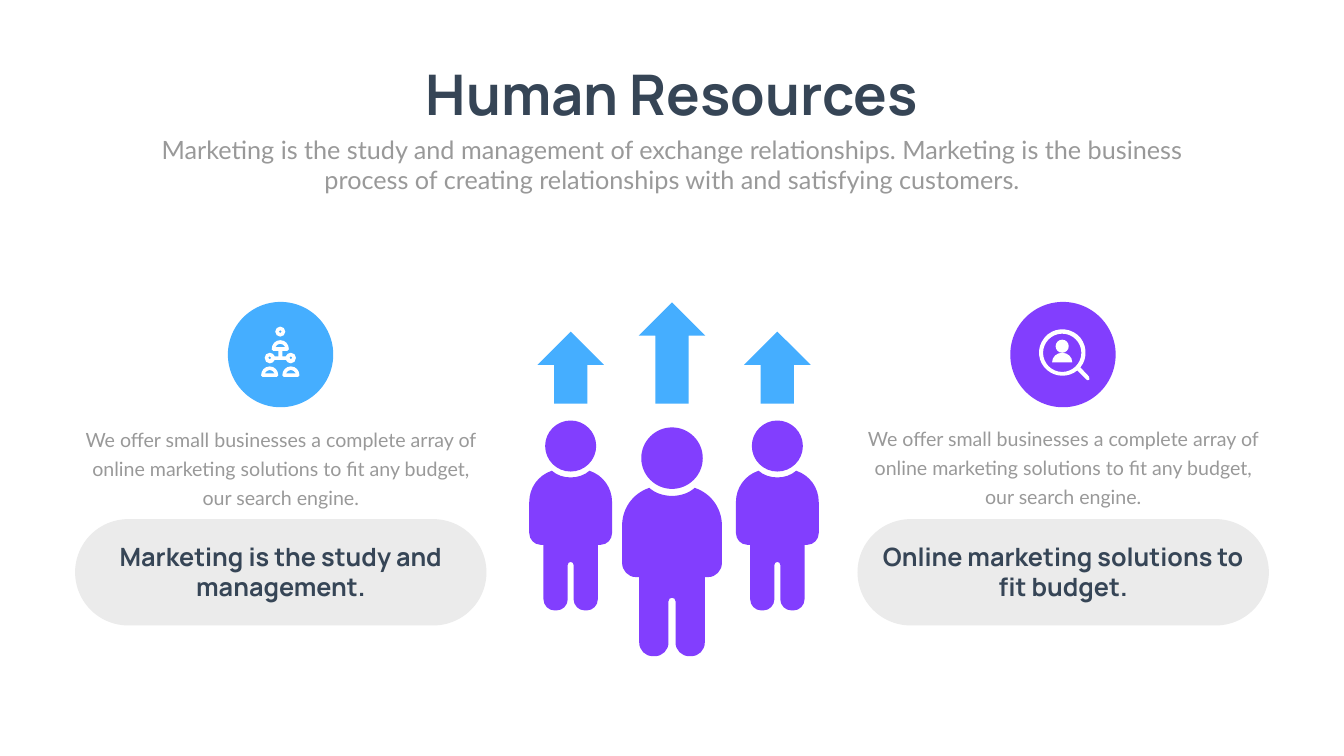
from dataclasses import dataclass

from lxml import etree
from pptx import Presentation
from pptx.dml.color import RGBColor
from pptx.enum.shapes import MSO_SHAPE
from pptx.enum.text import MSO_AUTO_SIZE, PP_ALIGN
from pptx.oxml.ns import qn
from pptx.shapes.base import BaseShape
from pptx.shapes.shapetree import GroupShapes, SlideShapes
from pptx.util import Inches, Pt

CENTER = PP_ALIGN.CENTER
FIT = MSO_AUTO_SIZE.SHAPE_TO_FIT_TEXT
OVAL = MSO_SHAPE.OVAL
PILL = MSO_SHAPE.ROUNDED_RECTANGLE
ARROW = MSO_SHAPE.UP_ARROW

Edge = tuple[float, ...]
Loop = list[Edge]
Tree = SlideShapes | GroupShapes


@dataclass(frozen=True)
class Theme:
    dark: str = "364556"
    gray: str = "999999"
    pale: str = "EBEBEB"
    blue: str = "45AEFF"
    violet: str = "823EFE"
    white: str = "FFFFFF"
    head: str = "Manrope"
    body: str = "Lato"
    title: int = 80
    large: int = 36
    small: int = 28
    lead: float = 40.8


@dataclass(frozen=True)
class Person:
    axis: float
    head: float
    top: float
    scale: float
    arrow: float


@dataclass(frozen=True)
class Panel:
    left: float
    top: float
    color: str
    label: str


def fold(half: Loop) -> Loop:
    ends = [edge[-2:] for edge in half]
    back: Loop = []
    for i in range(len(half) - 1, 0, -1):
        x, y = ends[i - 1]
        edge = half[i]
        if len(edge) == 6:
            back.append((-edge[2], edge[3], -edge[0], edge[1], -x, y))
        else:
            back.append((-x, y))
    return half + back


def disc(x: float, y: float, r: float) -> Loop:
    k = r * 0.55
    return [(x, y - r), (x + k, y - r, x + r, y - k, x + r, y),
            (x + r, y + k, x + k, y + r, x, y + r),
            (x - k, y + r, x - r, y + k, x - r, y),
            (x - r, y - k, x - k, y - r, x, y - r)]


THEME = Theme()
BLURB = ("We offer small businesses a complete array of online marketing "
         "solutions to fit any budget, our search engine.")
PEOPLE = (
    Person(13.33, 9.09, 9.68, 1, 6),
    Person(15.42, 8.85, 9.34, 0.83, 6.58),
    Person(11.32, 8.85, 9.34, 0.83, 6.58),
)
PANELS = (
    Panel(1.49, 8.35, THEME.blue, "Marketing is the study and management."),
    Panel(17.01, 8.33, THEME.violet, "Online marketing solutions to fit budget."),
)

BODY = [fold([
    (0, 0.16), (0.16, 0.16, 0.33, 0.11, 0.45, 0),
    (0.78, 0.11, 0.99, 0.41, 0.99, 0.75), (0.99, 1.49),
    (0.99, 1.64, 0.87, 1.77, 0.72, 1.77), (0.65, 1.77), (0.65, 3.07),
    (0.65, 3.22, 0.53, 3.34, 0.38, 3.34), (0.34, 3.34),
    (0.19, 3.34, 0.07, 3.22, 0.07, 3.07), (0.07, 2.25),
    (0.07, 2.21, 0.04, 2.18, 0, 2.18),
])]
HOLE = fold([(0, 0.07), (0.04, 0.07, 0.08, 0.1, 0.1, 0.14), (0, 0.14)])
CURVE: Loop = [(0, 0), (0.1, 0, 0.17, 0.08, 0.17, 0.18),
               (0.17, 0.2, 0.16, 0.21, 0.14, 0.21)]
DOME = [fold(CURVE + [(0, 0.21)]), HOLE]
TREE = [
    fold(CURVE + [
        (0.04, 0.21), (0.04, 0.32), (0.11, 0.32),
        (0.13, 0.28, 0.16, 0.25, 0.21, 0.25), (0.27, 0.25, 0.31, 0.3, 0.31, 0.35),
        (0.31, 0.41, 0.27, 0.46, 0.21, 0.46), (0.16, 0.46, 0.13, 0.43, 0.11, 0.39),
        (0, 0.39),
    ]),
    HOLE, disc(-0.21, 0.35, 0.03), disc(0.21, 0.35, 0.03),
]
RING = [disc(0, 0, 0.1), disc(0, 0, 0.03)]
BUST = [fold([(0, 0), (0.11, 0, 0.2, 0.08, 0.2, 0.19), (0, 0.19)])]
LENS = [
    [(0.53, 0.47), (0.36, 0.29), (0.52, 0.1, 0.49, -0.2, 0.3, -0.36),
     (0.1, -0.52, -0.19, -0.5, -0.35, -0.3), (-0.52, -0.1, -0.49, 0.19, -0.29, 0.35),
     (-0.12, 0.49, 0.13, 0.49, 0.3, 0.35), (0.48, 0.53),
     (0.49, 0.55, 0.52, 0.55, 0.54, 0.53), (0.55, 0.51, 0.55, 0.49, 0.53, 0.47)],
    disc(0, 0, 0.38),
]

deck = Presentation()
deck.slide_width, deck.slide_height = Inches(26.66), Inches(15)
slide = deck.slides.add_slide(deck.slide_layouts[6])


def paint(shape: BaseShape, color: str) -> None:
    shape.shadow.inherit = False
    shape.fill.solid()
    shape.fill.fore_color.rgb = RGBColor.from_string(color)
    shape.line.fill.background()


def block(tree: Tree, kind: int, left: float, top: float, width: float,
          height: float, color: str, adj: float | None = None) -> None:
    shape = tree.add_shape(kind, Inches(left), Inches(top),
                           Inches(width), Inches(height))
    paint(shape, color)
    if adj is not None:
        shape.adjustments[0] = adj


def draw(tree: Tree, loops: list[Loop], x: float, y: float, color: str,
         scale: float = 1) -> None:
    ends = [edge[-2:] for loop in loops for edge in loop]
    left, right = min(e[0] for e in ends), max(e[0] for e in ends)
    top, base = min(e[1] for e in ends), max(e[1] for e in ends)
    pen = tree.build_freeform(Inches(x + left * scale), Inches(y + top * scale))
    pen.add_line_segments([(Inches(x + right * scale), Inches(y + top * scale)),
                           (Inches(x + right * scale), Inches(y + base * scale))])
    shape = pen.convert_to_shape()
    paint(shape, color)
    route = next(shape._element.iter(qn("a:path")))
    for child in list(route):
        route.remove(child)
    for loop in loops:
        for i, edge in enumerate(loop):
            tag = "a:cubicBezTo" if len(edge) == 6 else "a:lnTo" if i else "a:moveTo"
            step = etree.SubElement(route, qn(tag))
            for across, down in zip(edge[::2], edge[1::2]):
                etree.SubElement(step, qn("a:pt"),
                                 x=str(Inches((across - left) * scale)),
                                 y=str(Inches((down - top) * scale)))
        etree.SubElement(route, qn("a:close"))


def write(text: str, left: float, top: float, width: float, height: float,
          font: str, size: int, color: str, bold: bool = False,
          wrap: bool = True, lead: float | None = None) -> None:
    frame = slide.shapes.add_textbox(Inches(left), Inches(top),
                                     Inches(width), Inches(height)).text_frame
    frame.word_wrap = wrap
    frame.auto_size = FIT
    para = frame.paragraphs[0]
    para.alignment = CENTER
    if lead:
        para.line_spacing = Pt(lead)
    run = para.add_run()
    run.text = text
    run.font.name, run.font.size, run.font.bold = font, Pt(size), bold
    run.font.color.rgb = RGBColor.from_string(color)


def badge(item: Panel) -> Tree:
    tree = slide.shapes.add_group_shape().shapes
    block(tree, OVAL, item.left + 3.03, 5.99, 2.09, 2.09, item.color)
    return tree


def team(tree: Tree, x: float, y: float) -> None:
    draw(tree, DOME, x - 0.21, y + 0.69, THEME.white)
    draw(tree, TREE, x, y + 0.17, THEME.white)
    draw(tree, DOME, x + 0.21, y + 0.69, THEME.white)
    draw(tree, RING, x, y, THEME.white)


def search(tree: Tree, x: float, y: float) -> None:
    draw(tree, [disc(0, 0, 0.13)], x, y - 0.13, THEME.white)
    draw(tree, BUST, x, y, THEME.white)
    draw(tree, LENS, x, y, THEME.white)


write("Human Resources", 7.97, 1.14, 10.72, 1.45, THEME.head, THEME.title,
      THEME.dark, bold=True, wrap=False)
write("Marketing is the study and management of exchange relationships. "
      "Marketing is the business process of creating relationships with and "
      "satisfying customers.", 2.92, 2.61, 20.82, 1.31, THEME.body,
      THEME.large, THEME.gray)
crowd = slide.shapes.add_group_shape().shapes
for who in PEOPLE:
    draw(crowd, BODY, who.axis, who.top, THEME.violet, who.scale)
    draw(crowd, [disc(0, 0, 0.61)], who.axis, who.head, THEME.violet, who.scale)
for who in sorted(PEOPLE, key=lambda one: one.axis):
    block(crowd, ARROW, who.axis - 0.66, who.arrow, 1.32, 8.01 - who.arrow, THEME.blue)
for item in PANELS:
    write(BLURB, item.left, item.top, 8.16, 1.77, THEME.body, THEME.small,
          THEME.gray, lead=THEME.lead)
team(badge(PANELS[0]), 5.56, 6.58)
search(badge(PANELS[1]), 21.07, 7)
for item in reversed(PANELS):
    block(slide.shapes, PILL, item.left, 10.3, 8.16, 2.11, THEME.pale, 0.5)
    write(item.label, item.left + 0.28, 10.69, 7.6, 1.31, THEME.head,
          THEME.large, THEME.dark, bold=True)
deck.save("out.pptx")
